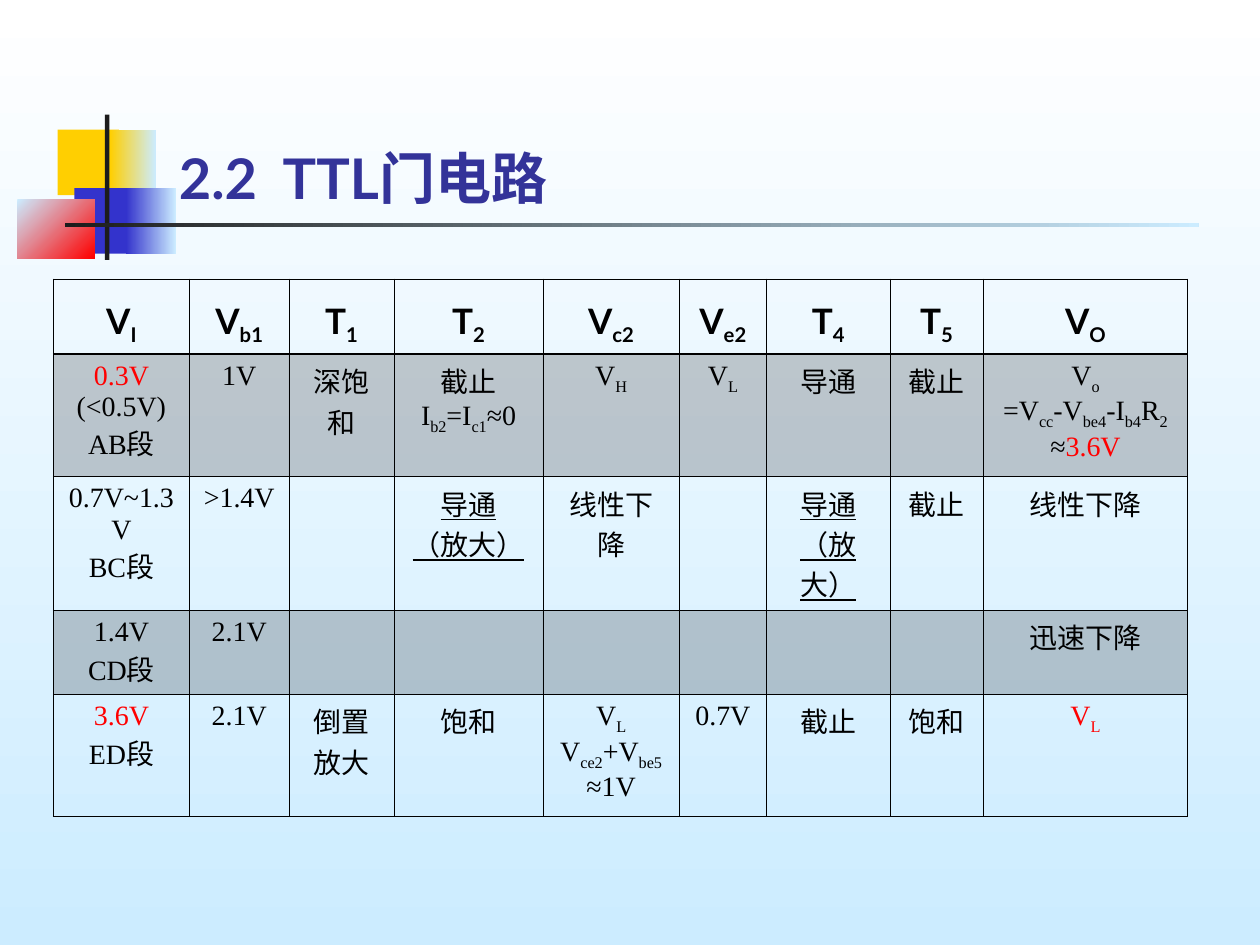
"""Build the slide on TTL gate circuits with its table of operating states."""
from lxml.etree import SubElement
from pptx import Presentation
from pptx.dml.color import RGBColor as RGB
from pptx.enum.shapes import MSO_SHAPE as SHAPE
from pptx.enum.text import MSO_ANCHOR as ANCHOR, MSO_AUTO_SIZE as AUTO, PP_ALIGN as ALIGN
from pptx.oxml import parse_xml
from pptx.oxml.ns import nsdecls, qn
from pptx.util import Pt

C = {"black": "000000", "white": "FFFFFF", "sky": "CCECFF", "yellow": "FFCF01",
     "blue": "3333CC", "red": "FF0000", "dark": "1C1C1C", "title": "333399", "navy": "000099"}


def add_text(p, text, size=16, font="Times New Roman", color="black", bold=False):
    """Write text in which _, * and | switch subscript, red and underline."""
    on = {"_": False, "*": False, "|": False}
    for mark in on:
        text = text.replace(mark, f"\n{mark}\n")
    for part in filter(None, text.split("\n")):
        if part in on:
            on[part] = not on[part]
            continue
        r = p.add_run()
        r.text = part
        r.font.size, r.font.name, r.font.bold = Pt(size), font, bold
        r.font.color.rgb = RGB.from_string(C["red" if on["*"] else color])
        if on["|"]:
            r.font.underline = True
        if on["_"]:
            r.font._element.set("baseline", "-25000")


def set_gradient(fill, start, end, angle):
    """Fill from start to end, with the angle measured clockwise."""
    fill.gradient()
    fill.gradient_angle = -angle % 360
    for stop, color, position in zip(fill.gradient_stops, (start, end), (0, 1)):
        stop.color.rgb = RGB.from_string(C[color])
        stop.position = position


prs = Presentation()
prs.slide_width, prs.slide_height = Pt(720), Pt(540)
s = prs.slides.add_slide(prs.slide_layouts[5])
set_gradient(s.background.fill, "white", "sky", 90)

ornaments = [
    (33, 74, 35, 37.5, "yellow", None, 0),
    (63, 74, 26, 37.5, "yellow", "sky", 0),
    (42.5, 107.5, 33, 37.5, "blue", None, 0),
    (72, 107.5, 28.5, 37.5, "blue", "sky", 0),
    (10, 114, 44, 33.5, "sky", "red", 45),
    (60, 65.5, 2.5, 83, "dark", None, 0),
    (37, 127.5, 648, 2.2, "dark", "sky", 0),
]
for x, y, w, h, start, end, angle in ornaments:
    sp = s.shapes.add_shape(SHAPE.RECTANGLE, Pt(x), Pt(y), Pt(w), Pt(h))
    sp.shadow.inherit = False
    sp.line.fill.background()
    if end:
        set_gradient(sp.fill, start, end, angle)
    else:
        sp.fill.solid()
        sp.fill.fore_color.rgb = RGB.from_string(C[start])

title = s.shapes.title
title.left, title.top, title.width, title.height = Pt(90), Pt(66.2), Pt(511), Pt(57.6)
tf = title.text_frame
tf.word_wrap, tf.auto_size, tf.vertical_anchor = True, AUTO.NONE, ANCHOR.BOTTOM
p = tf.paragraphs[0]
p.alignment = ALIGN.LEFT
add_text(p, " ", size=20, color="navy")
add_text(p, "2.2  TTL门电路", size=32, font="Lato", color="title", bold=True)

rows = [
    ["V_I_", "V_b1_", "T_1_", "T_2_", "V_c2_", "V_e2_", "T_4_", "T_5_", "V_O_"],
    ["*0.3V*\n(<0.5V)\nAB段", "1V", "深饱和", "截止\nI_b2_=I_c1_≈0", "V_H_", "V_L_",
     "导通", "截止", "V_o_\n=V_cc_-V_be4_-I_b4_R_2_\n≈*3.6V*"],
    ["0.7V~1.3V\nBC段", ">1.4V", "", "|导通|\n|（放大）|", "线性下降", "",
     "|导通（放大）|", "截止", "线性下降"],
    ["1.4V\nCD段", "2.1V", "", "", "", "", "", "", "迅速下降"],
    ["*3.6V*\nED段", "2.1V", "倒置放大", "饱和", "V_L_\nV_ce2_+V_be5_≈1V", "0.7V",
     "截止", "饱和", "*V_L_*"],
]
widths = [78, 56.7, 60.2, 85, 78, 49.7, 70.7, 53.2, 117]
heights = [43, 70, 69, 47, 70]
table = s.shapes.add_table(len(rows), len(widths), Pt(30.4), Pt(159.4),
                           Pt(sum(widths)), Pt(sum(heights))).table
table.first_row = table.horz_banding = False
for column, width in zip(table.columns, widths):
    column.width = Pt(width)

for i, (row, height) in enumerate(zip(rows, heights)):
    table.rows[i].height = Pt(height)
    for j, text in enumerate(row):
        cell = table.cell(i, j)
        if i % 2:
            cell.fill.solid()
            cell.fill.fore_color.rgb = RGB.from_string(C["black"])
            tint = cell._tc.tcPr.find(".//" + qn("a:srgbClr"))
            SubElement(tint, qn("a:alpha")).set("val", "20000")
        else:
            cell.fill.background()
        for k, side in enumerate("LRTB"):
            heavy = (i, side) in ((0, "B"), (1, "T"))
            cell._tc.tcPr.insert(k, parse_xml(
                f'<a:ln{side} {nsdecls("a")} w="{Pt(0.96 if heavy else 0.45)}"><a:solidFill>'
                f'<a:srgbClr val="{C["black"]}"/></a:solidFill></a:ln{side}>'))
        tf = cell.text_frame
        for n, line in enumerate(text.split("\n")):
            p = tf.add_paragraph() if n else tf.paragraphs[0]
            p.alignment = ALIGN.CENTER
            if i == 0:
                p.line_spacing = 1.3
                add_text(p, line, size=20, font="Lato", bold=True)
            else:
                add_text(p, line)

prs.save("out.pptx")
